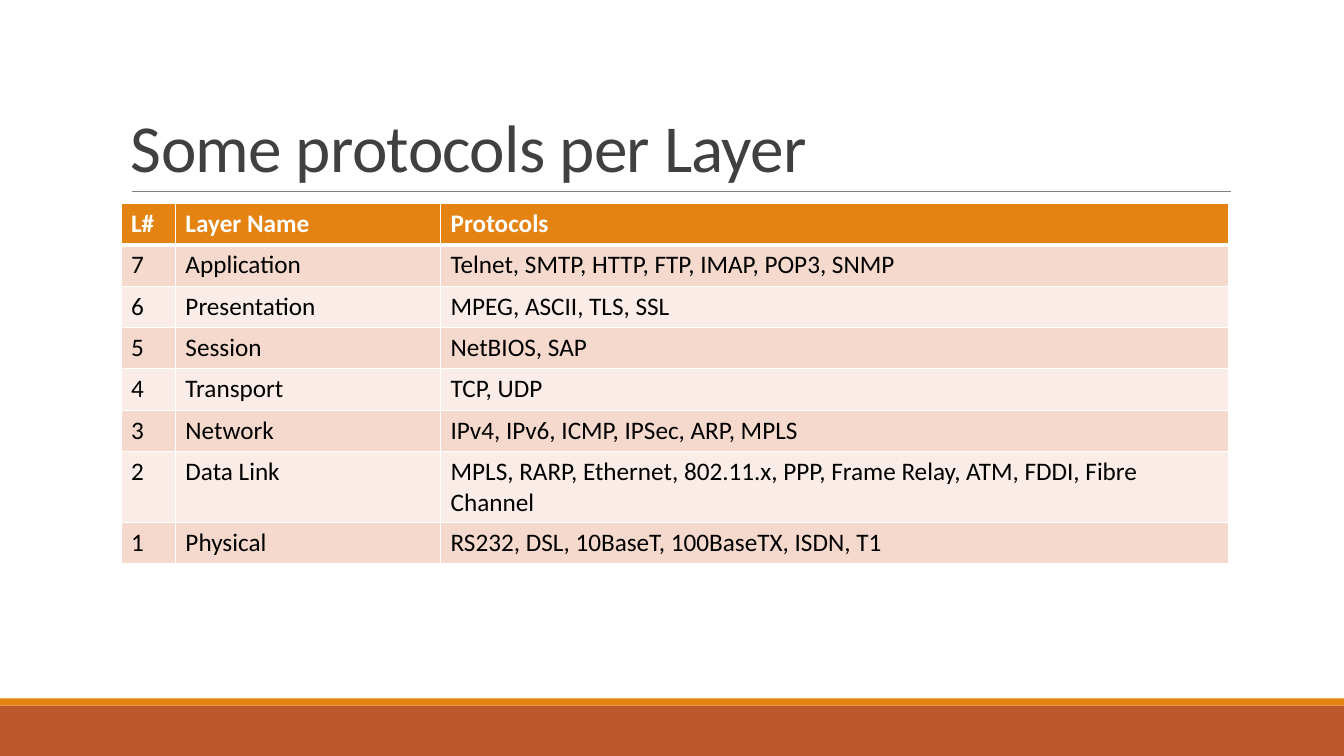
import pptx
import pptx.dml.color
import pptx.enum.shapes
import pptx.enum.text
import pptx.oxml
import pptx.oxml.ns
import pptx.util
from lxml import etree

Inches = pptx.util.Inches
Pt = pptx.util.Pt
RGBColor = pptx.dml.color.RGBColor

FONT = "Calibri"
WHITE = RGBColor(0xFF, 0xFF, 0xFF)
BLACK = RGBColor(0x00, 0x00, 0x00)
TITLE_GREY = RGBColor(0x40, 0x40, 0x40)
RULE_GREY = RGBColor(0x80, 0x80, 0x80)
ORANGE = RGBColor(0xE4, 0x83, 0x12)
RUST = RGBColor(0xBD, 0x58, 0x2C)
ROW_TINTS = (RGBColor(0xFA, 0xED, 0xE7), RGBColor(0xF5, 0xD9, 0xCC))

LAYERS = [
    ("L#", "Layer Name", "Protocols"),
    ("7", "Application", "Telnet, SMTP, HTTP, FTP, IMAP, POP3, SNMP"),
    ("6", "Presentation", "MPEG, ASCII, TLS, SSL"),
    ("5", "Session", "NetBIOS, SAP"),
    ("4", "Transport", "TCP, UDP"),
    ("3", "Network", "IPv4, IPv6, ICMP, IPSec, ARP, MPLS"),
    ("2", "Data Link", "MPLS, RARP, Ethernet, 802.11.x, PPP, Frame Relay, "
                       "ATM, FDDI, Fibre Channel"),
    ("1", "Physical", "RS232, DSL, 10BaseT, 100BaseTX, ISDN, T1"),
]
COLUMN_WIDTHS = (0.54, 2.63, 7.82)
ROW_HEIGHT = 0.41


def add_run(paragraph, text, size, color, bold=False):
    """Append a styled run to a paragraph and return it."""
    run = paragraph.add_run()
    run.text = text
    run.font.name = FONT
    run.font.size = Pt(size)
    run.font.bold = bold
    run.font.color.rgb = color
    return run


def add_band(slide, top, height, color):
    """Draw a full-width footer band."""
    band = slide.shapes.add_shape(
        pptx.enum.shapes.MSO_SHAPE.RECTANGLE,
        0, Inches(top), Inches(13.33), Inches(height))
    band.shadow.inherit = False
    band.fill.solid()
    band.fill.fore_color.rgb = color
    band.line.fill.background()


def add_rule(slide, left, right, y):
    """Draw the thin horizontal rule under the title."""
    rule = slide.shapes.add_connector(
        pptx.enum.shapes.MSO_CONNECTOR.STRAIGHT,
        Inches(left), Inches(y), Inches(right), Inches(y))
    rule.line.color.rgb = RULE_GREY
    rule.line.width = Pt(0.5)
    etree.SubElement(rule._element.spPr, pptx.oxml.ns.qn("a:effectLst"))


def add_title(slide, text):
    """Place the bottom-anchored slide title."""
    frame = slide.shapes.add_textbox(
        Inches(1.2), Inches(0.31), Inches(11), Inches(1.59)).text_frame
    frame.word_wrap = True
    frame.vertical_anchor = pptx.enum.text.MSO_ANCHOR.BOTTOM
    heading = frame.paragraphs[0]
    heading.line_spacing = 0.85
    run = add_run(heading, text, 48, TITLE_GREY)
    run.font._element.set("spc", "-50")


def set_borders(cell, top, bottom):
    """Give a cell white borders, with top and bottom widths in points."""
    properties = cell._tc.get_or_add_tcPr()
    widths = {"lnL": 1, "lnR": 1, "lnT": top, "lnB": bottom}
    for index, (side, width) in enumerate(widths.items()):
        border = pptx.oxml.parse_xml(
            f'<a:{side} {pptx.oxml.ns.nsdecls("a")} w="{Pt(width)}">'
            f'<a:solidFill><a:srgbClr val="{WHITE}"/></a:solidFill></a:{side}>')
        properties.insert(index, border)


def add_layer_table(slide):
    """Build the table of layers and their protocols."""
    table = slide.shapes.add_table(
        len(LAYERS), len(COLUMN_WIDTHS), Inches(1.2), Inches(2.02),
        Inches(sum(COLUMN_WIDTHS)), Inches(ROW_HEIGHT * len(LAYERS))).table
    for column, width in zip(table.columns, COLUMN_WIDTHS):
        column.width = Inches(width)
    for row_index, layer in enumerate(LAYERS):
        header = row_index == 0
        table.rows[row_index].height = Inches(ROW_HEIGHT)
        for column_index, text in enumerate(layer):
            cell = table.cell(row_index, column_index)
            cell.fill.solid()
            cell.fill.fore_color.rgb = ORANGE if header else ROW_TINTS[row_index % 2]
            set_borders(cell, 3 if row_index == 1 else 1, 3 if header else 1)
            add_run(cell.text_frame.paragraphs[0], text, 18,
                    WHITE if header else BLACK, header)


def main():
    """Build and save the slide."""
    deck = pptx.Presentation()
    deck.slide_width = Inches(13.33)
    deck.slide_height = Inches(7.5)
    slide = deck.slides.add_slide(deck.slide_layouts[6])
    add_band(slide, 7, 0.5, RUST)
    add_band(slide, 6.93, 0.07, ORANGE)
    add_rule(slide, 1.31, 12.21, 1.9)
    add_title(slide, "Some protocols per Layer")
    add_layer_table(slide)
    deck.save("out.pptx")


main()
